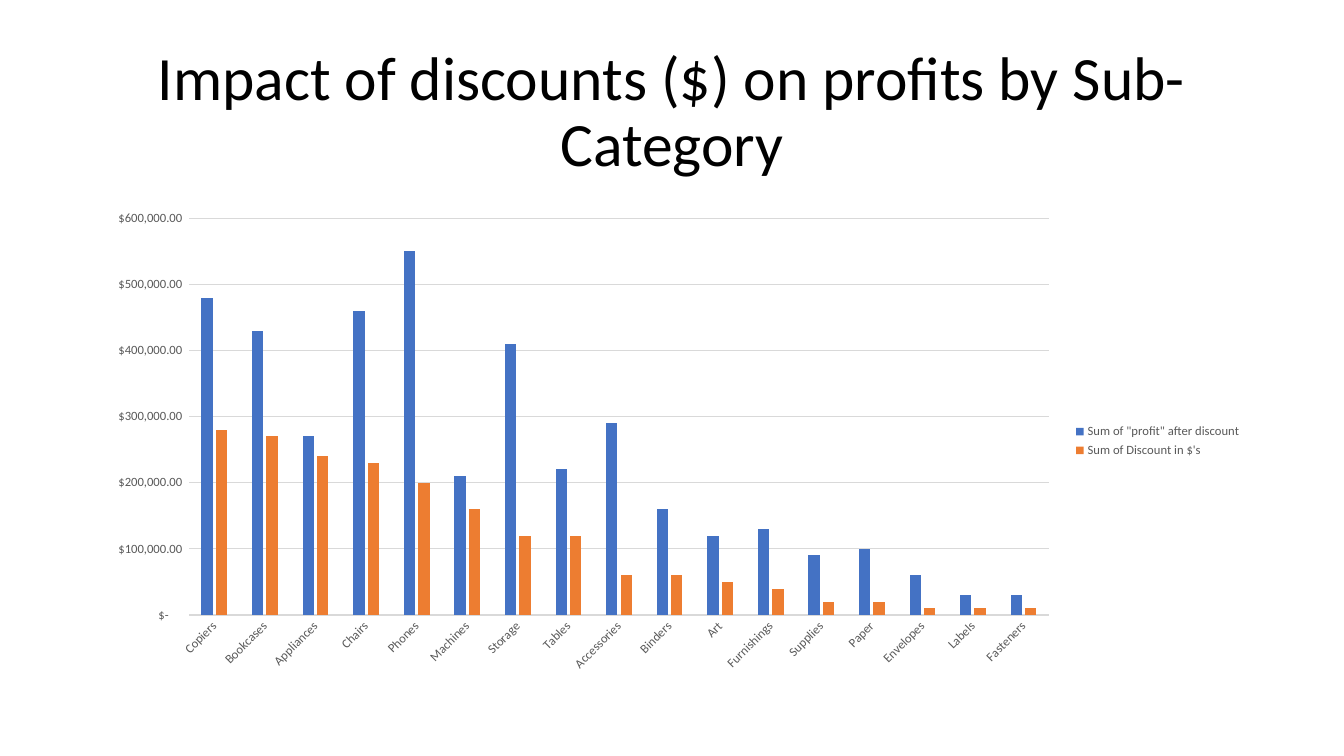
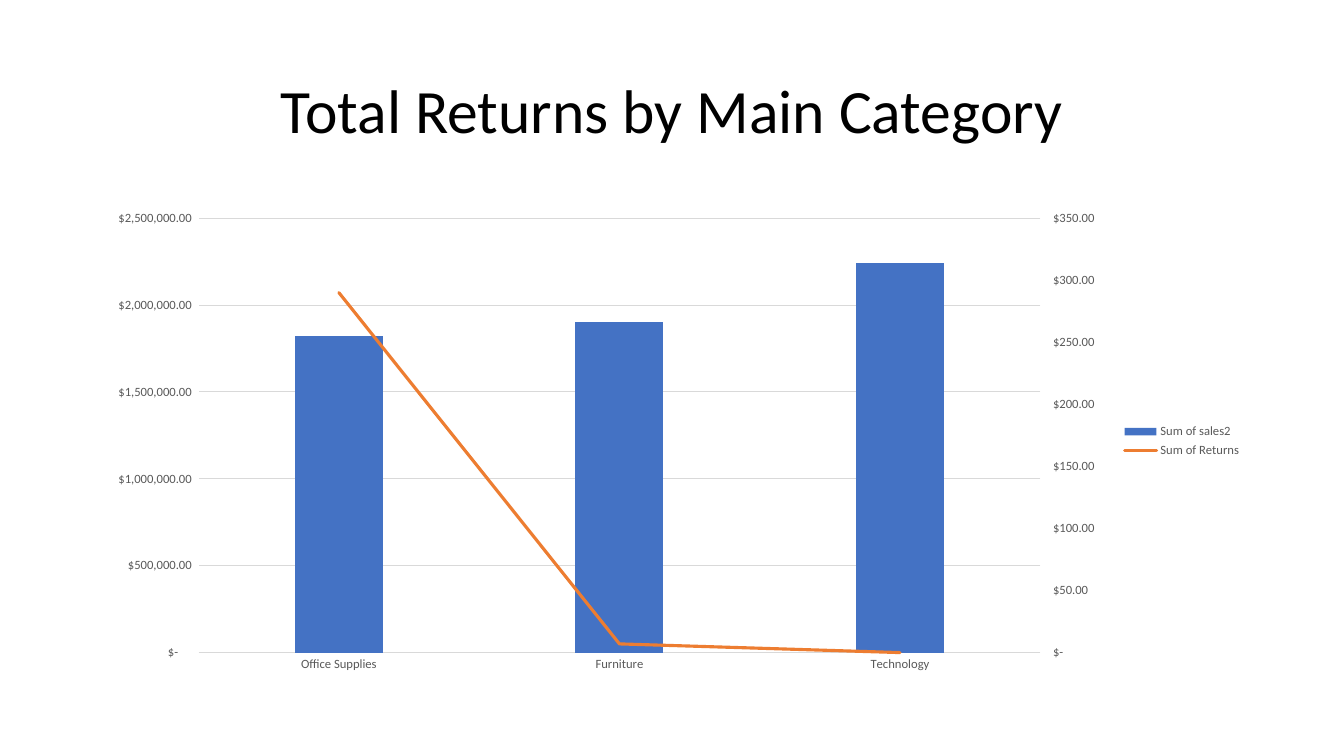
from copy import deepcopy

from lxml import etree
from pptx import Presentation
from pptx.chart.axis import CategoryAxis, ValueAxis
from pptx.chart.data import CategoryChartData
from pptx.dml.color import RGBColor
from pptx.enum.chart import XL_CHART_TYPE, XL_LEGEND_POSITION, XL_MARKER_STYLE, XL_TICK_MARK
from pptx.enum.text import MSO_ANCHOR, PP_ALIGN
from pptx.oxml import parse_xml
from pptx.oxml.ns import nsdecls, qn
from pptx.util import Pt

COLUMNS = XL_CHART_TYPE.COLUMN_CLUSTERED
LEGEND_RIGHT = XL_LEGEND_POSITION.RIGHT
NO_MARKER = XL_MARKER_STYLE.NONE
TICK_NONE = XL_TICK_MARK.NONE
TICK_OUTSIDE = XL_TICK_MARK.OUTSIDE
MIDDLE = MSO_ANCHOR.MIDDLE
CENTER = PP_ALIGN.CENTER

BLACK = RGBColor(0x00, 0x00, 0x00)
GRAY = RGBColor(0x59, 0x59, 0x59)
GRID = RGBColor(0xD9, 0xD9, 0xD9)
BLUE = RGBColor(0x44, 0x72, 0xC4)
ORANGE = RGBColor(0xED, 0x7D, 0x31)

FONT = "Calibri"
ACCOUNTING = '_("$"* #,##0.00_);_("$"* \\(#,##0.00\\);_("$"* "-"??_);_(@_)'
TITLE_AREA = (Pt(66), Pt(28.75), Pt(828), Pt(104.4))
CHART_AREA = (Pt(66), Pt(143.75), Pt(828), Pt(342.6))
SLANTED = -2700000
RIGHT_CATEGORY_ID = "50010"
RIGHT_VALUE_ID = "50020"

DISCOUNTS = {
    "Copiers": (480000, 280000),
    "Bookcases": (430000, 270000),
    "Appliances": (270000, 240000),
    "Chairs": (460000, 230000),
    "Phones": (550000, 200000),
    "Machines": (210000, 160000),
    "Storage": (410000, 120000),
    "Tables": (220000, 120000),
    "Accessories": (290000, 60000),
    "Binders": (160000, 60000),
    "Art": (120000, 50000),
    "Furnishings": (130000, 40000),
    "Supplies": (90000, 20000),
    "Paper": (100000, 20000),
    "Envelopes": (60000, 10000),
    "Labels": (30000, 10000),
    "Fasteners": (30000, 10000),
}
RETURNS = {
    "Office Supplies": (1820000, 290),
    "Furniture": (1900000, 7),
    "Technology": (2240000, 0),
}


def set_values(target, **values):
    for name, value in values.items():
        setattr(target, name, value)


def style_font(font, size, color):
    set_values(font, name=FONT, size=Pt(size))
    font.color.rgb = color


def style_line(line, color, width):
    line.color.rgb = color
    line.width = Pt(width)


def add_page(deck, title):
    page = deck.slides.add_slide(deck.slide_layouts[6])
    frame = page.shapes.add_textbox(*TITLE_AREA).text_frame
    set_values(frame, word_wrap=True, vertical_anchor=MIDDLE)
    para = frame.paragraphs[0]
    set_values(para, alignment=CENTER, line_spacing=0.9)
    span = para.add_run()
    span.text = title
    style_font(span.font, 44, BLACK)
    return page


def style_axes(chart, top, step):
    for axis in (chart.category_axis, chart.value_axis):
        set_values(axis, major_tick_mark=TICK_NONE, minor_tick_mark=TICK_NONE)
        style_font(axis.tick_labels.font, 9, GRAY)
    style_line(chart.category_axis.format.line, GRID, 0.75)

    values = chart.value_axis
    set_values(values, minimum_scale=0, maximum_scale=top, major_unit=step,
               has_major_gridlines=True)
    style_line(values.major_gridlines.format.line, GRID, 0.75)
    values.format.line.fill.background()
    set_values(values.tick_labels, number_format=ACCOUNTING, number_format_is_linked=False)


def add_column_chart(page, names, rows, top, step):
    data = CategoryChartData(number_format=ACCOUNTING)
    data.categories = list(rows)
    for name, values in zip(names, zip(*rows.values())):
        data.add_series(name, values)
    chart = page.shapes.add_chart(COLUMNS, *CHART_AREA, data).chart
    style_font(chart.font, 10, BLACK)
    set_values(chart, has_title=False, has_legend=True)
    set_values(chart.legend, position=LEGEND_RIGHT, include_in_layout=False)
    style_font(chart.legend.font, 9, GRAY)
    style_axes(chart, top, step)

    plot = chart.plots[0]
    set_values(plot, gap_width=219, overlap=-27, vary_by_categories=False)
    for series, color in zip(plot.series, (BLUE, ORANGE)):
        series.format.fill.solid()
        series.format.fill.fore_color.rgb = color
    return chart


def slant_category_labels(chart):
    body = chart.category_axis.tick_labels.font._element.getparent().getparent().getparent()
    body.find(qn("a:bodyPr")).set("rot", str(SLANTED))


def copy_axis(axis, axis_id, crossed_id):
    element = deepcopy(axis._element)
    element.find(qn("c:axId")).set("val", axis_id)
    element.find(qn("c:crossAx")).set("val", crossed_id)
    return element


def add_right_axes(chart, top, step):
    category = copy_axis(chart.category_axis, RIGHT_CATEGORY_ID, RIGHT_VALUE_ID)
    value = copy_axis(chart.value_axis, RIGHT_VALUE_ID, RIGHT_CATEGORY_ID)
    value.find(qn("c:axPos")).set("val", "r")
    value.find(qn("c:crosses")).set("val", "max")
    chart.value_axis._element.addnext(value)
    value.addnext(category)
    CategoryAxis(category).visible = False
    set_values(ValueAxis(value), maximum_scale=top, major_unit=step,
               has_major_gridlines=False, major_tick_mark=TICK_OUTSIDE)


def move_last_series_to_line(chart):
    bars = chart.plots[0]._element
    series = bars.findall(qn("c:ser"))[-1]
    for tag in ("c:invertIfNegative", "c:spPr"):
        for child in series.findall(qn(tag)):
            series.remove(child)
    lines = parse_xml(
        f'<c:lineChart {nsdecls("c")}><c:grouping val="standard"/>'
        '<c:varyColors val="0"/><c:marker val="1"/>'
        f'<c:axId val="{RIGHT_CATEGORY_ID}"/><c:axId val="{RIGHT_VALUE_ID}"/></c:lineChart>'
    )
    lines.insert(2, series)
    bars.addnext(lines)

    line_series = chart.plots[1].series[0]
    line_series.smooth = False
    line_series.marker.style = NO_MARKER
    style_line(line_series.format.line, ORANGE, 2.25)
    outline = series.find(qn("c:spPr")).find(qn("a:ln"))
    outline.set("cap", "rnd")
    etree.SubElement(outline, qn("a:round"))


def main():
    deck = Presentation()
    set_values(deck, slide_width=Pt(960), slide_height=Pt(540))

    page = add_page(deck, "Impact of discounts ($) on profits by Sub-Category")
    names = ('Sum of "profit" after discount', "Sum of Discount in $'s")
    chart = add_column_chart(page, names, DISCOUNTS, 600000, 100000)
    slant_category_labels(chart)

    page = add_page(deck, "Total Returns by Main Category")
    names = ("Sum of sales2", "Sum of Returns")
    chart = add_column_chart(page, names, RETURNS, 2500000, 500000)
    add_right_axes(chart, 350, 50)
    move_last_series_to_line(chart)

    deck.save("out.pptx")


if __name__ == "__main__":
    main()
